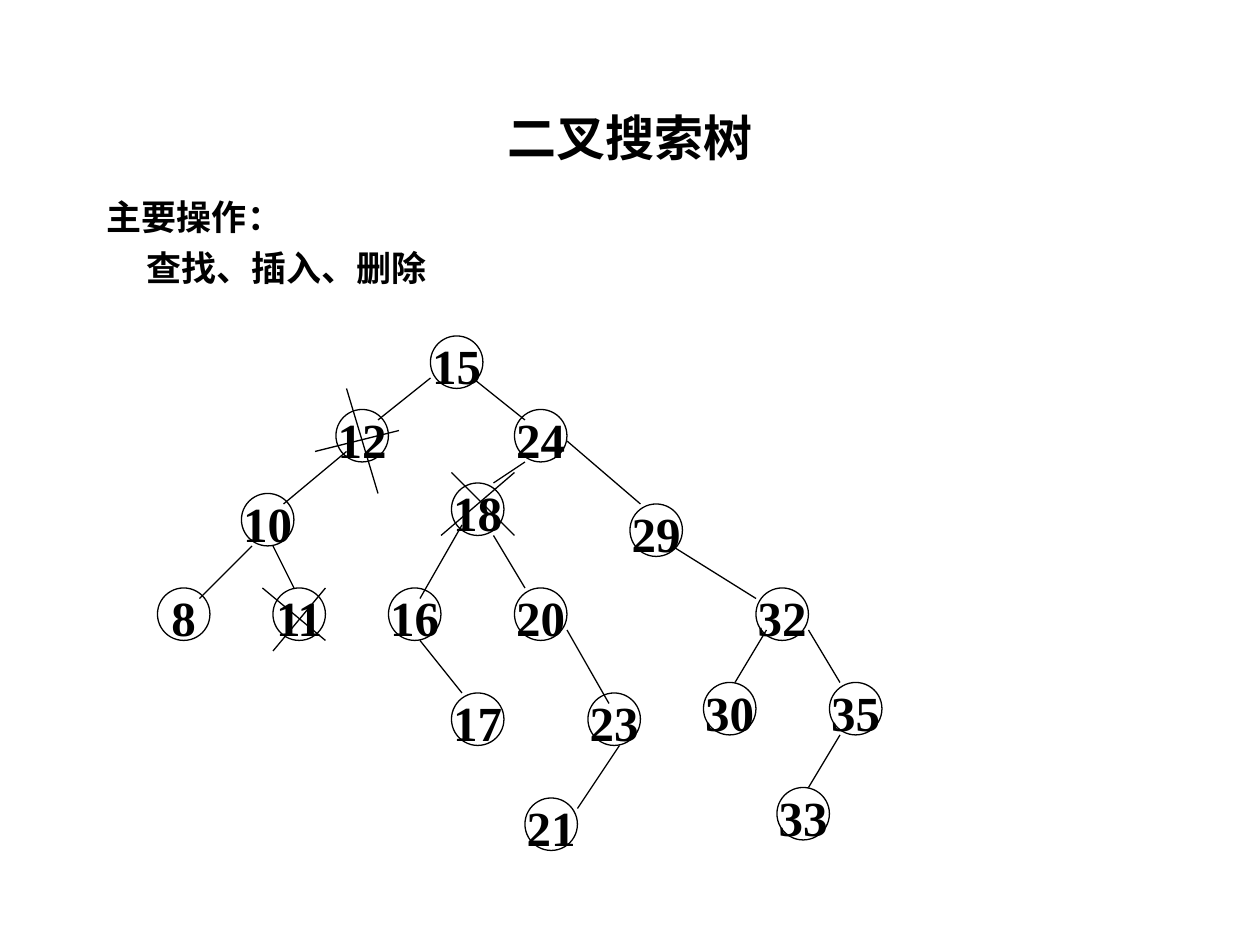
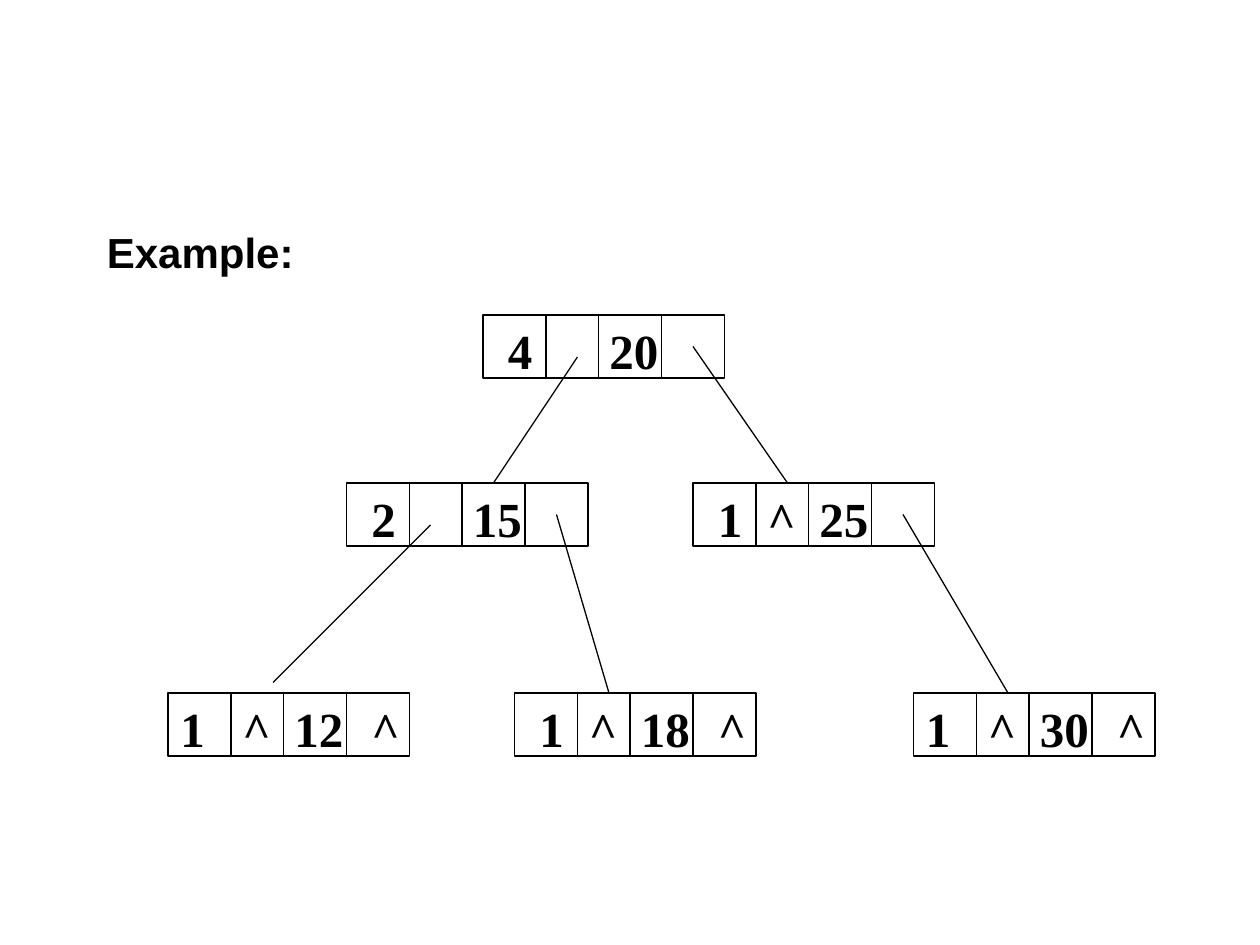
from dataclasses import dataclass

from lxml.etree import SubElement
from pptx import Presentation
from pptx.dml.color import RGBColor
from pptx.enum.shapes import MSO_CONNECTOR, MSO_SHAPE
from pptx.enum.text import MSO_ANCHOR, PP_ALIGN
from pptx.oxml.ns import qn
from pptx.util import Cm, Pt


@dataclass(frozen=True)
class Theme:
    ink: RGBColor = RGBColor(0, 0, 0)
    text_font: str = "Arial"
    number_font: str = "Times New Roman"
    title_size: int = 28
    example_size: int = 24
    body_size: int = 20
    number_size: int = 28
    line_width: float = 0.75


THEME = Theme()
NODE_SIZE = 5
RECORD_WIDTH, RECORD_HEIGHT = 23, 6
RECORD_DIVIDERS = (6, 11, 17)
FIELD_STARTS = (1.5, 2.55, 4.1)  # cm from the left side of a record


def grid(steps):
    """Length of a number of grid steps, twelve to the inch."""
    return Cm(steps * 2.54 / 12)


def write(frame, text, size, font=THEME.text_font, align=PP_ALIGN.LEFT,
          anchor=MSO_ANCHOR.TOP, wrap=True, top=0.13, left=0.25, right=0.25,
          space=0, indents=(), tabs=()):
    """Fill a text frame, one paragraph per line; insets, indents and tabs in cm."""
    frame.word_wrap = wrap
    frame.vertical_anchor = anchor
    frame.margin_left, frame.margin_right = Cm(left), Cm(right)
    frame.margin_top, frame.margin_bottom = Cm(top), Cm(0.13)
    for index, line in enumerate(text.split("\n")):
        para = frame.add_paragraph() if index else frame.paragraphs[0]
        para.alignment = align
        if index:
            para.space_before = Pt(space)
        properties = para._p.get_or_add_pPr()
        if index < len(indents):
            properties.set("marL", str(Cm(indents[index])))
        if tabs:
            stops = SubElement(properties, qn("a:tabLst"))
            for position in tabs:
                SubElement(stops, qn("a:tab"), pos=str(Cm(position - left)), algn="l")
        span = para.add_run()
        span.text = line
        span.font.name, span.font.size, span.font.bold = font, Pt(size), True
        span.font.color.rgb = THEME.ink


class Board:
    """Draws on the current slide in the shared style."""

    def __init__(self, theme):
        self.theme = theme
        self.deck = Presentation()
        self.deck.slide_width, self.deck.slide_height = Cm(25.4), Cm(19.05)
        self.page = None

    def new_page(self):
        self.page = self.deck.slides.add_slide(self.deck.slide_layouts[6])

    def text(self, x, y, width, height, text, size, **style):
        box = self.page.shapes.add_textbox(*map(grid, (x, y, width, height)))
        write(box.text_frame, text, size, **style)

    def outline(self, kind, x, y, width, height, text, **style):
        shape = self.page.shapes.add_shape(kind, *map(grid, (x, y, width, height)))
        shape.shadow.inherit = False
        shape.fill.background()
        shape.line.color.rgb = self.theme.ink
        shape.line.width = Pt(self.theme.line_width)
        write(shape.text_frame, text, self.theme.number_size,
              font=self.theme.number_font, anchor=MSO_ANCHOR.MIDDLE, top=0.25, **style)

    def line(self, *ends):
        connector = self.page.shapes.add_connector(MSO_CONNECTOR.STRAIGHT, *map(grid, ends))
        connector.line.color.rgb = self.theme.ink
        connector.line.width = Pt(self.theme.line_width)
        SubElement(connector._element.spPr, qn("a:effectLst"))

    def node(self, key, x, y):
        self.outline(MSO_SHAPE.OVAL, x, y, NODE_SIZE, NODE_SIZE, str(key),
                     align=PP_ALIGN.CENTER, wrap=False)

    def record(self, x, y, start, *fields):
        """Four-field record whose first value begins at start (cm)."""
        self.outline(MSO_SHAPE.RECTANGLE, x, y, RECORD_WIDTH, RECORD_HEIGHT,
                     "\t".join(fields).rstrip("\t"), left=start, right=0,
                     tabs=FIELD_STARTS)
        for offset in RECORD_DIVIDERS:
            self.line(x + offset, y, x + offset, y + RECORD_HEIGHT)


TREE_NODES = {
    15: (41, 32), 12: (32, 39), 24: (49, 39), 10: (23, 47), 8: (15, 56),
    11: (26, 56), 18: (43, 46), 16: (37, 56), 17: (43, 66), 20: (49, 56),
    29: (60, 48), 23: (56, 66), 21: (50, 76), 32: (72, 56), 30: (67, 65),
    35: (79, 65), 33: (74, 75),
}
TREE_EDGES = [
    (41, 36, 36, 40), (33, 43, 27, 48), (24, 52, 19, 57), (26, 52, 28, 56),
    (45, 36, 50, 40), (50, 44, 47, 46), (44, 50, 40, 57), (40, 61, 44, 66),
    (54, 42, 61, 48), (64, 52, 72, 57), (77, 60, 80, 65), (47, 51, 50, 56),
    (54, 60, 58, 67), (59, 71, 55, 77), (73, 60, 70, 65), (80, 70, 77, 75),
]
DELETION_STROKES = [
    (31, 56, 26, 62), (25, 56, 31, 61), (38, 41, 30, 43),
    (33, 37, 36, 47), (49, 45, 42, 51), (43, 45, 49, 51),
]
RECORDS = [
    (46, 30, 0.5, "4", "", "20", ""),
    (33, 46, 0.5, "2", "", "15", ""),
    (66, 46, 0.5, "1", "^", "25", ""),
    (49, 66, 0.5, "1", "^", "18", "^"),
    (16, 66, 0.25, "1", "^", "12", "^"),
    (87, 66, 0.25, "1", "^", "30", "^"),
]
RECORD_LINKS = [
    (55, 34, 47, 46), (66, 33, 75, 46), (41, 50, 26, 65),
    (53, 49, 58, 66), (86, 49, 96, 66),
]


def search_tree_page(board):
    board.new_page()
    board.text(9, 8, 102, 10, "二叉搜索树", THEME.title_size,
               align=PP_ALIGN.CENTER, anchor=MSO_ANCHOR.MIDDLE)
    board.text(9, 18, 102, 70, "主要操作：\n查找、插入、删除", THEME.body_size,
               space=5, indents=(0, 0.8))
    for key, place in TREE_NODES.items():
        board.node(key, *place)
    for ends in TREE_EDGES + DELETION_STROKES:
        board.line(*ends)


def record_tree_page(board):
    board.new_page()
    board.text(9, 21, 102, 59, "Example:", THEME.example_size)
    for record in RECORDS:
        board.record(*record)
    for ends in RECORD_LINKS:
        board.line(*ends)


def main():
    board = Board(THEME)
    search_tree_page(board)
    record_tree_page(board)
    board.deck.save("out.pptx")


if __name__ == "__main__":
    main()
